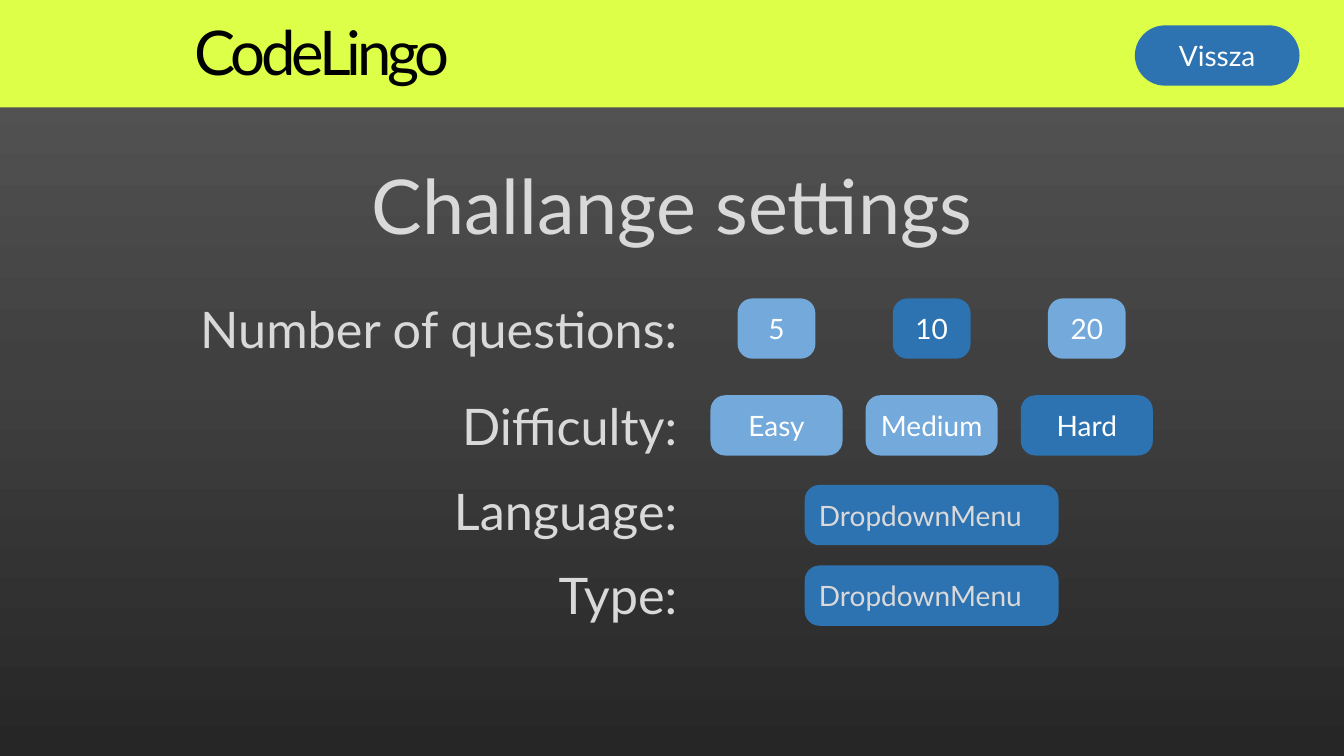
import copy
import dataclasses

import pptx
import pptx.dml.color
import pptx.enum.shapes
import pptx.enum.text
import pptx.oxml.ns
import pptx.util

Cm = pptx.util.Cm
Align = pptx.enum.text.PP_ALIGN
Anchor = pptx.enum.text.MSO_ANCHOR
Preset = pptx.enum.shapes.MSO_SHAPE


@dataclasses.dataclass(frozen=True)
class Theme:
    font: str = "Lato"
    banner: str = "DDFF47"
    brand: str = "000000"
    strong: str = "2D72B1"
    soft: str = "73A9DB"
    bright: str = "FFFFFF"
    pale: str = "D9D9D9"
    backdrop: tuple = ((0, "595959"), (0.49, "404040"), (1, "262626"))
    heading_size: int = 54
    brand_size: int = 44
    label_size: int = 36
    button_size: int = 20


THEME = Theme()
SLIDE_WIDTH, SLIDE_HEIGHT = 33.87, 19.05
BUTTON_HEIGHT = 1.52


def rgb(value):
    return pptx.dml.color.RGBColor.from_string(value)


def write(frame, wording, size, color, align):
    frame.text = wording
    paragraph = frame.paragraphs[0]
    paragraph.alignment = align
    font = paragraph.runs[0].font
    font.name = THEME.font
    font.size = pptx.util.Pt(size)
    font.color.rgb = rgb(color)
    return paragraph


def add_block(slide, preset, box, fill):
    block = slide.shapes.add_shape(preset, *map(Cm, box))
    block.shadow.inherit = False
    block.fill.solid()
    block.fill.fore_color.rgb = rgb(fill)
    block.line.fill.background()
    return block


def add_button(slide, box, wording, fill, color=THEME.bright, align=Align.CENTER, rounding=0.245):
    button = add_block(slide, Preset.ROUNDED_RECTANGLE, box, fill)
    button.adjustments[0] = rounding
    button.text_frame.vertical_anchor = Anchor.MIDDLE
    write(button.text_frame, wording, THEME.button_size, color, align)


def add_text(slide, box, wording, size, color, align):
    frame = slide.shapes.add_textbox(*map(Cm, box)).text_frame
    frame.word_wrap = True
    frame.auto_size = pptx.enum.text.MSO_AUTO_SIZE.SHAPE_TO_FIT_TEXT
    return frame, write(frame, wording, size, color, align)


def paint_backdrop(slide):
    fill = slide.background.fill
    fill.gradient()
    fill.gradient_angle = 270
    first_stop = next(slide.element.iter(pptx.oxml.ns.qn("a:gs")))
    first_stop.addnext(copy.deepcopy(first_stop))
    for stop, (position, color) in zip(fill.gradient_stops, THEME.backdrop):
        stop.position = position
        stop.color.rgb = rgb(color)


def add_header(slide, left, top, width, height):
    add_block(slide, Preset.RECTANGLE, (left, top, width, height), THEME.banner)
    frame, brand = add_text(slide, (left + 4.65, top + 0.15, 7.7, 2.51), "CodeLingo",
                            THEME.brand_size, THEME.brand, Align.LEFT)
    frame.auto_size = pptx.enum.text.MSO_AUTO_SIZE.NONE
    frame.vertical_anchor = Anchor.MIDDLE
    brand.line_spacing = 0.9
    brand.runs[0].font._element.set("spc", "-300")
    add_button(slide, (left + width - 5.27, top + 0.64, 4.15, BUTTON_HEIGHT),
               "Vissza", THEME.strong, rounding=0.5)


def add_choices(slide, center, top, width, choices, selected):
    pitch = 3.91
    first_center = center - pitch * (len(choices) - 1) / 2
    for column, choice in enumerate(choices):
        left = first_center + column * pitch - width / 2
        fill = THEME.strong if choice == selected else THEME.soft
        add_button(slide, (left, top, width, BUTTON_HEIGHT), choice, fill)


def add_dropdown(slide, center, top):
    width = 6.4
    add_button(slide, (center - width / 2, top, width, BUTTON_HEIGHT), "DropdownMenu",
               THEME.strong, THEME.pale, Align.LEFT)


def add_settings(slide, left, top, width):
    add_text(slide, (left + 5.18, top, width - 10.36, 2.57), "Challange settings",
             THEME.heading_size, THEME.pale, Align.CENTER)
    labels = (("Number of questions:", 3.5), ("Difficulty:", 5.94),
              ("Language:", 8.08), ("Type:", 10.21))
    for label, offset in labels:
        add_text(slide, (left + 1.19, top + offset, 16.13, 1.8), label,
                 THEME.label_size, THEME.pale, Align.RIGHT)
    center = left + 23.48
    add_choices(slide, center, top + 3.63, 1.96, ("5", "10", "20"), "10")
    add_choices(slide, center, top + 6.07, 3.33, ("Easy", "Medium", "Hard"), "Hard")
    for offset in (8.33, 10.36):
        add_dropdown(slide, center, top + offset)


def main():
    deck = pptx.Presentation()
    deck.slide_width, deck.slide_height = Cm(SLIDE_WIDTH), Cm(SLIDE_HEIGHT)
    slide = deck.slides.add_slide(deck.slide_layouts[6])
    paint_backdrop(slide)
    add_header(slide, 0, 0, SLIDE_WIDTH, 2.71)
    add_settings(slide, 0, 3.89, SLIDE_WIDTH)
    deck.save("out.pptx")


if __name__ == "__main__":
    main()
